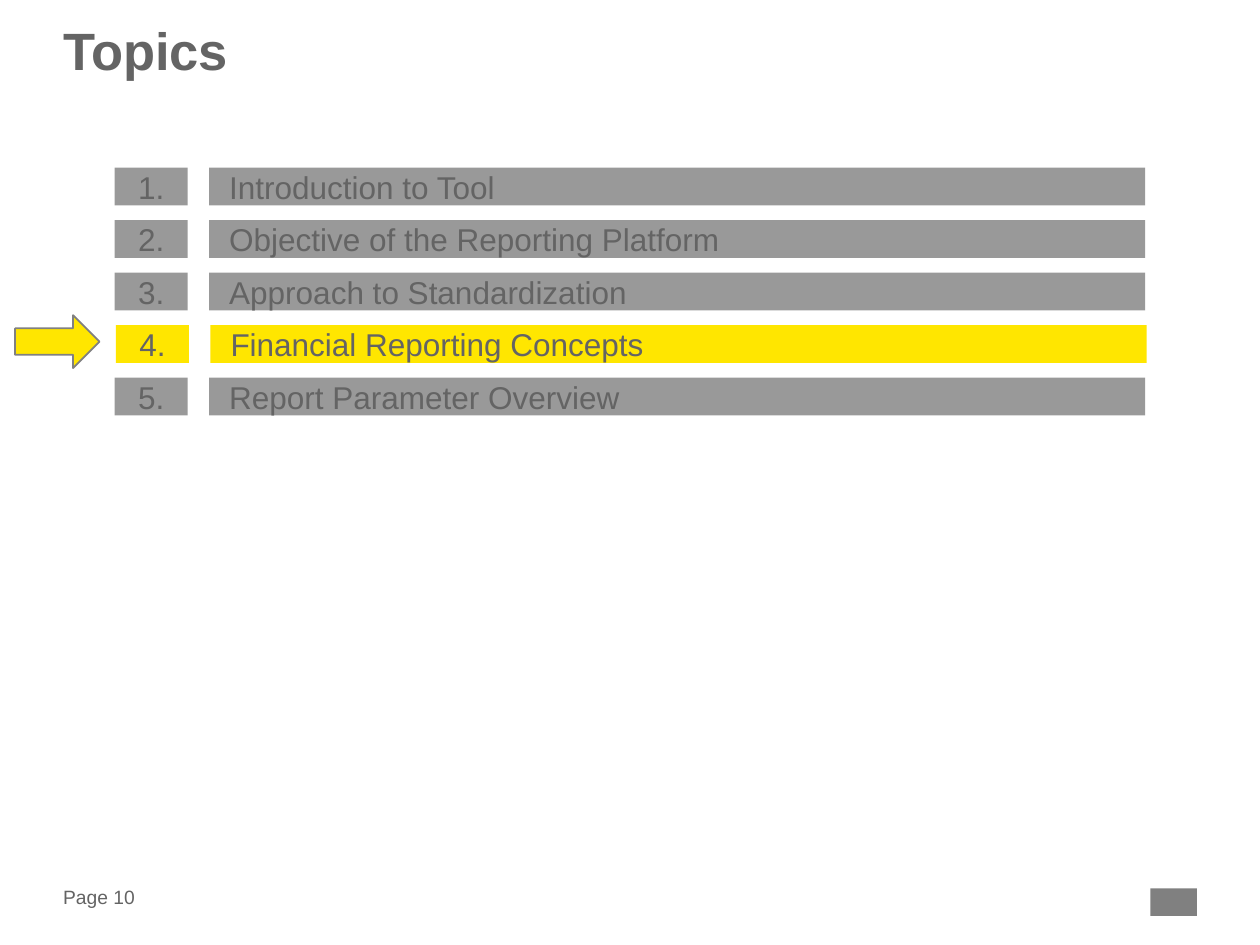
import pptx
import pptx.util
from pptx.dml.color import RGBColor
from pptx.enum.shapes import MSO_SHAPE
from pptx.enum.text import MSO_ANCHOR, PP_ALIGN

Inches, Pt = pptx.util.Inches, pptx.util.Pt

TEXT, GRAY, YELLOW, MID_GRAY = "646464", "999999", "FFE600", "808080"
TOPICS = [
    "Introduction to Tool",
    "Objective of the Reporting Platform",
    "Approach to Standardization",
    "Financial Reporting Concepts",
    "Report Parameter Overview",
]
CURRENT = 4


def color(value):
    return RGBColor.from_string(value)


def set_text(s, text, size=18, bold=False, align=PP_ALIGN.LEFT,
             anchor=MSO_ANCHOR.MIDDLE, inset=(0, 0), spacing=None):
    tf = s.text_frame
    tf.word_wrap = True
    tf.vertical_anchor = anchor
    tf.margin_left = tf.margin_right = Inches(inset[0])
    tf.margin_top = tf.margin_bottom = Inches(inset[1])
    p = tf.paragraphs[0]
    p.alignment = align
    p.line_spacing = spacing
    r = p.add_run()
    r.text = text
    r.font.name, r.font.size, r.font.bold = "Arial", Pt(size), bold
    r.font.color.rgb = color(TEXT)


def add_block(slide, kind, x, y, w, h, fill, line=None):
    s = slide.shapes.add_shape(kind, Inches(x), Inches(y), Inches(w), Inches(h))
    s.shadow.inherit = False
    s.fill.solid()
    s.fill.fore_color.rgb = color(fill)
    if line:
        s.line.color.rgb = color(line)
        s.line.width = Pt(1)
    else:
        s.line.fill.background()
    return s


def add_title(slide, x, y, w, h):
    s = slide.shapes.title
    s.left, s.top, s.width, s.height = map(Inches, (x, y, w, h))
    set_text(s, "Topics", size=30, bold=True, anchor=MSO_ANCHOR.TOP, spacing=0.85)


def add_topics(slide, x, y, w, row_h=0.3, pitch=0.417, number_w=0.58, gap=0.17):
    for i, topic in enumerate(TOPICS):
        current = i + 1 == CURRENT
        fill = YELLOW if current else GRAY
        left = x + 0.01 if current else x  # the current row is set in slightly
        top = y + i * pitch
        bar_x = left + number_w + gap

        number = add_block(slide, MSO_SHAPE.RECTANGLE, left, top, number_w, row_h, fill)
        set_text(number, f"{i + 1}.", align=PP_ALIGN.CENTER, inset=(0.09, 0.04))
        bar = add_block(slide, MSO_SHAPE.RECTANGLE, bar_x, top,
                        w - number_w - gap, row_h, fill)
        set_text(bar, topic, inset=(0.16, 0.04))

        # Arrow pointing at the current topic
        if current:
            add_block(slide, MSO_SHAPE.RIGHT_ARROW, 0.12, top - 0.08, 0.67, 0.42,
                      YELLOW, line=MID_GRAY)


def add_footer(slide, x, y, w, h):
    s = slide.shapes.add_textbox(Inches(x), Inches(y), Inches(0.79), Inches(h))
    set_text(s, "Page 10", size=11)
    # Plain block in the logo position
    add_block(slide, MSO_SHAPE.RECTANGLE, x + w - 0.37, y + 0.04, 0.37, h, MID_GRAY)


def main():
    prs = pptx.Presentation()
    prs.slide_width, prs.slide_height = Inches(10), Inches(7.5)
    slide = prs.slides.add_slide(prs.slide_layouts[5])
    add_title(slide, 0.5, 0.22, 9, 0.94)
    add_topics(slide, 0.91, 1.33, 8.18)
    add_footer(slide, 0.5, 7.01, 9, 0.22)
    prs.save("out.pptx")


if __name__ == "__main__":
    main()
